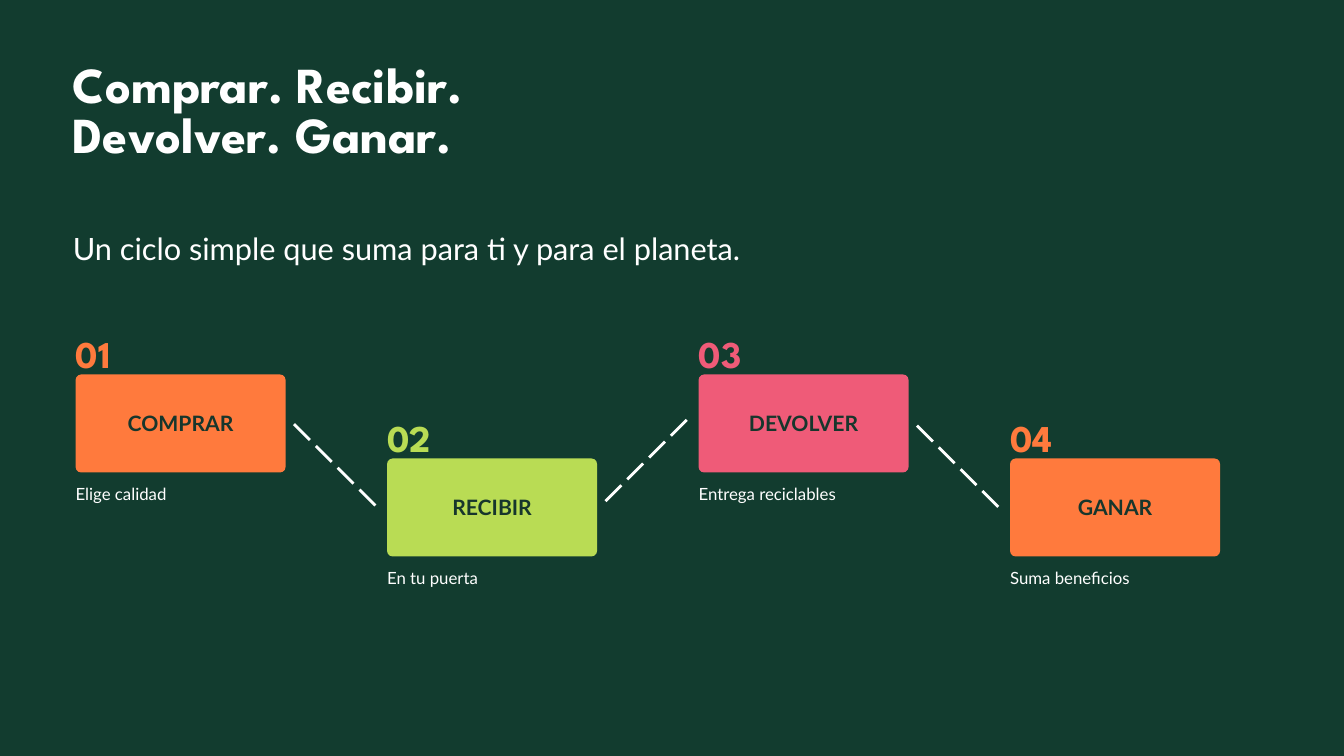
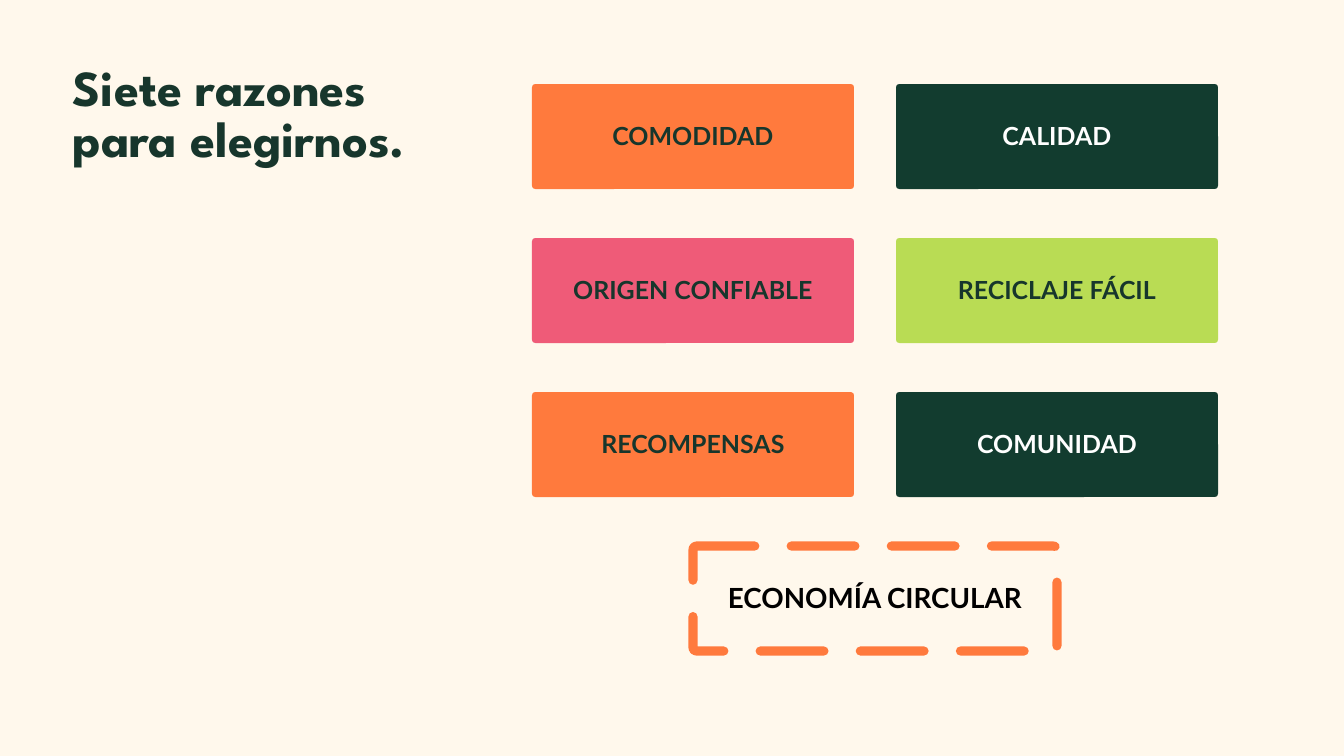
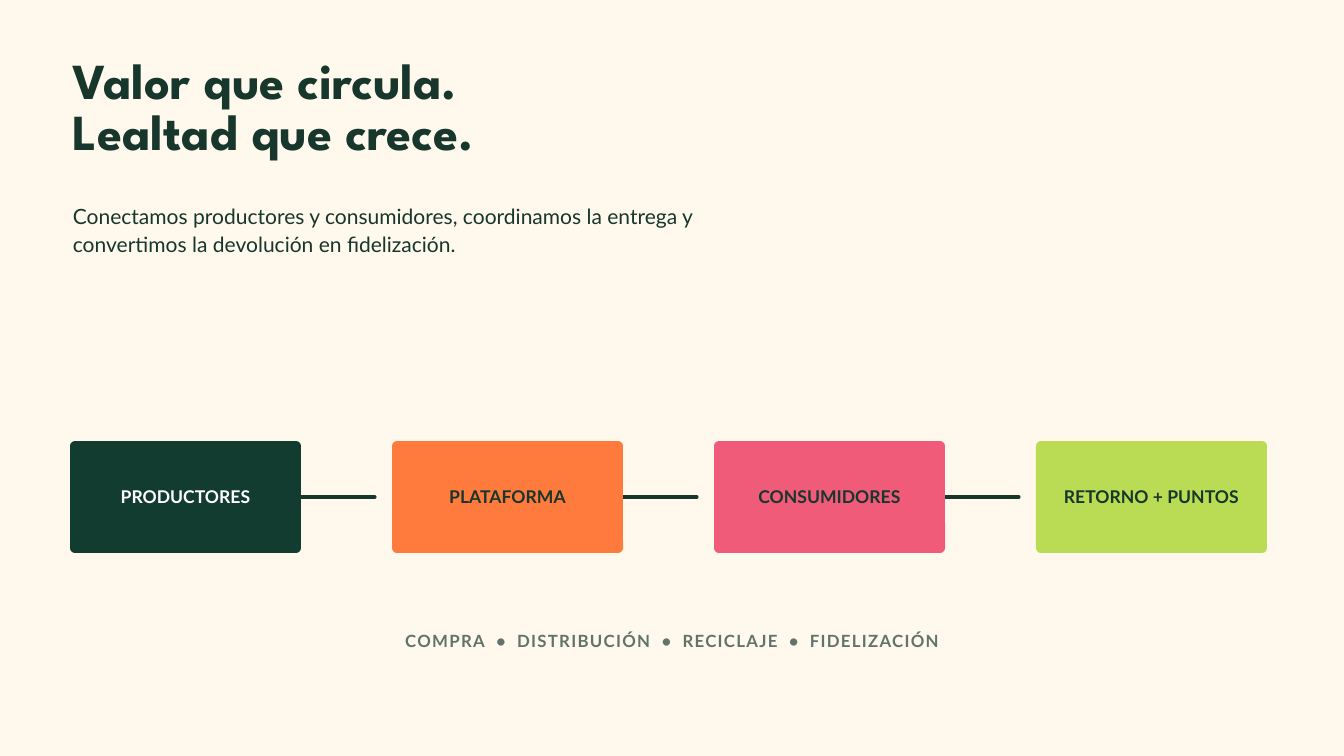
from dataclasses import dataclass, replace

from lxml import etree
from pptx import Presentation
from pptx.dml.color import RGBColor
from pptx.enum.dml import MSO_LINE
from pptx.enum.shapes import MSO_CONNECTOR, MSO_SHAPE
from pptx.enum.text import MSO_ANCHOR, MSO_AUTO_SIZE, PP_ALIGN
from pptx.oxml.ns import qn
from pptx.shapes.autoshape import Shape
from pptx.slide import Slide
from pptx.text.text import TextFrame, _Run
from pptx.util import Emu, Pt

EMU_PER_PX = 9525
WIDTH, HEIGHT = 1920, 1080
MARGIN = 104

FOREST = RGBColor(0x12, 0x3C, 0x2F)
INK = RGBColor(0x17, 0x36, 0x2C)
CREAM = RGBColor(0xFF, 0xF8, 0xEC)
ORANGE = RGBColor(0xFF, 0x7A, 0x3D)
LIME = RGBColor(0xB9, 0xDC, 0x54)
PINK = RGBColor(0xEF, 0x5B, 0x78)
SAGE = RGBColor(0x61, 0x74, 0x6C)
WHITE = RGBColor(0xFF, 0xFF, 0xFF)
BLACK = RGBColor(0x00, 0x00, 0x00)

LEFT, CENTER = PP_ALIGN.LEFT, PP_ALIGN.CENTER
MIDDLE = MSO_ANCHOR.MIDDLE
GROW = MSO_AUTO_SIZE.SHAPE_TO_FIT_TEXT
ROUNDED = MSO_SHAPE.ROUNDED_RECTANGLE
STRAIGHT = MSO_CONNECTOR.STRAIGHT
LONG_DASH, SOLID = MSO_LINE.LONG_DASH, MSO_LINE.SOLID


@dataclass(frozen=True)
class TextStyle:
    size: float
    color: RGBColor
    font: str = "Lato"
    bold: bool = False
    leading: float = 1.4
    align: PP_ALIGN = LEFT


@dataclass(frozen=True)
class Box:
    left: int
    top: int
    width: int
    height: int


@dataclass(frozen=True)
class Card:
    label: str
    fill: RGBColor
    color: RGBColor = INK


@dataclass(frozen=True)
class Step:
    card: Card
    caption: str


TITLE = TextStyle(54, INK, "League Spartan", True, 1)
NUMBER = TextStyle(40.5, ORANGE, "League Spartan", True)
CAPTION = TextStyle(18, WHITE)
LEAD = TextStyle(32.9, WHITE, leading=1.35)
BODY = TextStyle(22.5, INK, leading=1.35)
LABEL = TextStyle(22.7, INK, bold=True, leading=1.1, align=CENTER)
FOOTER = TextStyle(18, SAGE, bold=True, align=CENTER)

STEPS = (
    Step(Card("COMPRAR", ORANGE), "Elige calidad"),
    Step(Card("RECIBIR", LIME), "En tu puerta"),
    Step(Card("DEVOLVER", PINK), "Entrega reciclables"),
    Step(Card("GANAR", ORANGE), "Suma beneficios"),
)
STEP_LINKS = ((420, 606, 540, 726), (865, 716, 985, 596), (1310, 608, 1430, 728))
REASONS = (
    Card("COMODIDAD", ORANGE),
    Card("CALIDAD", FOREST, WHITE),
    Card("ORIGEN CONFIABLE", PINK),
    Card("RECICLAJE FÁCIL", LIME),
    Card("RECOMPENSAS", ORANGE),
    Card("COMUNIDAD", FOREST, WHITE),
)
CHAIN = (
    Card("PRODUCTORES", FOREST, WHITE),
    Card("PLATAFORMA", ORANGE),
    Card("CONSUMIDORES", PINK),
    Card("RETORNO + PUNTOS", LIME),
)


def px(n: int) -> Emu:
    return Emu(n * EMU_PER_PX)


def place(box: Box) -> tuple[Emu, Emu, Emu, Emu]:
    return px(box.left), px(box.top), px(box.width), px(box.height)


def format_run(r: _Run, style: TextStyle) -> None:
    r.font.size = Pt(style.size)
    r.font.name = style.font
    r.font.bold = style.bold
    r.font.color.rgb = style.color


def write(tf: TextFrame, text: str, style: TextStyle, margins: tuple[int, int, int, int]) -> None:
    """Fill the frame; margins run left, top, right, bottom."""
    tf.word_wrap = True
    tf.margin_left, tf.margin_top, tf.margin_right, tf.margin_bottom = map(px, margins)
    tf.text = text
    for p in tf.paragraphs:
        p.alignment = style.align
        p.line_spacing = Pt(round(style.size * style.leading, 1))
        for r in p.runs:
            format_run(r, style)


def add_text(slide: Slide, box: Box, text: str, style: TextStyle) -> Shape:
    sp = slide.shapes.add_textbox(*place(box))
    write(sp.text_frame, text, style, (0, 0, 0, 0))
    sp.text_frame.auto_size = GROW
    return sp


def add_block(slide: Slide, box: Box, text: str, style: TextStyle, radius: int) -> Shape:
    """Rounded block without fill or line, with a centred label."""
    sp = slide.shapes.add_shape(ROUNDED, *place(box))
    sp.shadow.inherit = False
    sp.adjustments[0] = radius / min(box.width, box.height)
    sp.fill.background()
    sp.line.fill.background()
    write(sp.text_frame, text, style, (6, 8, 6, 6))
    sp.text_frame.vertical_anchor = MIDDLE
    return sp


def add_card(slide: Slide, box: Box, card: Card, size: float, radius: int) -> None:
    style = replace(LABEL, size=size, color=card.color)
    sp = add_block(slide, box, card.label, style, radius)
    sp.fill.solid()
    sp.fill.fore_color.rgb = card.fill


def round_caps(sp: Shape) -> None:
    sp.element.spPr.find(qn("a:ln")).set("cap", "rnd")


def add_line(slide: Slide, ends: tuple[int, int, int, int], color: RGBColor,
             width: float, dash: MSO_LINE = SOLID) -> Shape:
    line = slide.shapes.add_connector(STRAIGHT, *map(px, ends))
    line.line.color.rgb = color
    line.line.width = Pt(width)
    line.line.dash_style = dash
    etree.SubElement(line.element.spPr, qn("a:effectLst"))
    return line


def add_footer(slide: Slide, box: Box, words: str) -> None:
    """Letter-spaced line of words with wider gaps between them."""
    sp = add_text(slide, box, "", FOOTER)
    p = sp.text_frame.paragraphs[0]
    for i, word in enumerate(words.split()):
        for text, spacing in ((" ", 630), (word, 140))[i == 0:]:
            r = p.add_run()
            r.text = text
            format_run(r, FOOTER)
            r.font._element.set("spc", str(spacing))


def new_slide(prs: Presentation, background: RGBColor, title: str, top: int,
              width: int, color: RGBColor = INK) -> Slide:
    slide = prs.slides.add_slide(prs.slide_layouts[6])
    slide.background.fill.solid()
    slide.background.fill.fore_color.rgb = background
    add_text(slide, Box(MARGIN, top, width, 149), title, replace(TITLE, color=color))
    return slide


def build_cycle(prs: Presentation) -> None:
    slide = new_slide(prs, FOREST, "Comprar. Recibir.\nDevolver. Ganar.", 90, 1000, WHITE)
    add_text(slide, Box(MARGIN, 322, 1168, 57),
             "Un ciclo simple que suma para ti y para el planeta.", LEAD)
    for ends in STEP_LINKS:
        add_line(slide, ends, WHITE, 3, LONG_DASH)
    for i, step in enumerate(STEPS):
        left, top = 108 + 445 * i, 535 + 120 * (i % 2)
        add_text(slide, Box(left, top - 74, 120, 70), f"{i + 1:02}",
                 replace(NUMBER, color=step.card.fill))
        add_card(slide, Box(left, top, 300, 140), step.card, 22.7, 8)
        add_text(slide, Box(left, top + 151, 300, 32), step.caption, CAPTION)


def build_reasons(prs: Presentation) -> None:
    slide = new_slide(prs, CREAM, "Siete razones\npara elegirnos.", 95, 780)
    for i, card in enumerate(REASONS):
        row, col = divmod(i, 2)
        add_card(slide, Box(760 + 520 * col, 120 + 220 * row, 460, 150), card, 26.7, 5)
    sp = add_block(slide, Box(990, 780, 520, 150), "ECONOMÍA CIRCULAR",
                   replace(LABEL, size=29.7, color=BLACK), 5)
    sp.line.color.rgb = ORANGE
    sp.line.width = Pt(9.75)
    sp.line.dash_style = LONG_DASH
    round_caps(sp)


def build_chain(prs: Presentation) -> None:
    slide = new_slide(prs, CREAM, "Valor que circula.\nLealtad que crece.", 85, 950)
    add_text(slide, Box(MARGIN, 286, 980, 80),
             "Conectamos productores y consumidores, coordinamos la entrega y "
             "convertimos la devolución en fidelización.", BODY)
    for i, card in enumerate(CHAIN):
        box = Box(100 + 460 * i, 630, 330, 160)
        if i < len(CHAIN) - 1:
            right, middle = box.left + box.width, box.top + box.height // 2
            round_caps(add_line(slide, (right, middle, right + 105, middle), INK, 4.5))
        add_card(slide, box, card, 18.8, 7)
    add_footer(slide, Box(420, 896, 1080, 33),
               "COMPRA • DISTRIBUCIÓN • RECICLAJE • FIDELIZACIÓN")


def main() -> None:
    prs = Presentation()
    prs.slide_width, prs.slide_height = px(WIDTH), px(HEIGHT)
    build_cycle(prs)
    build_reasons(prs)
    build_chain(prs)
    prs.save("out.pptx")


if __name__ == "__main__":
    main()
